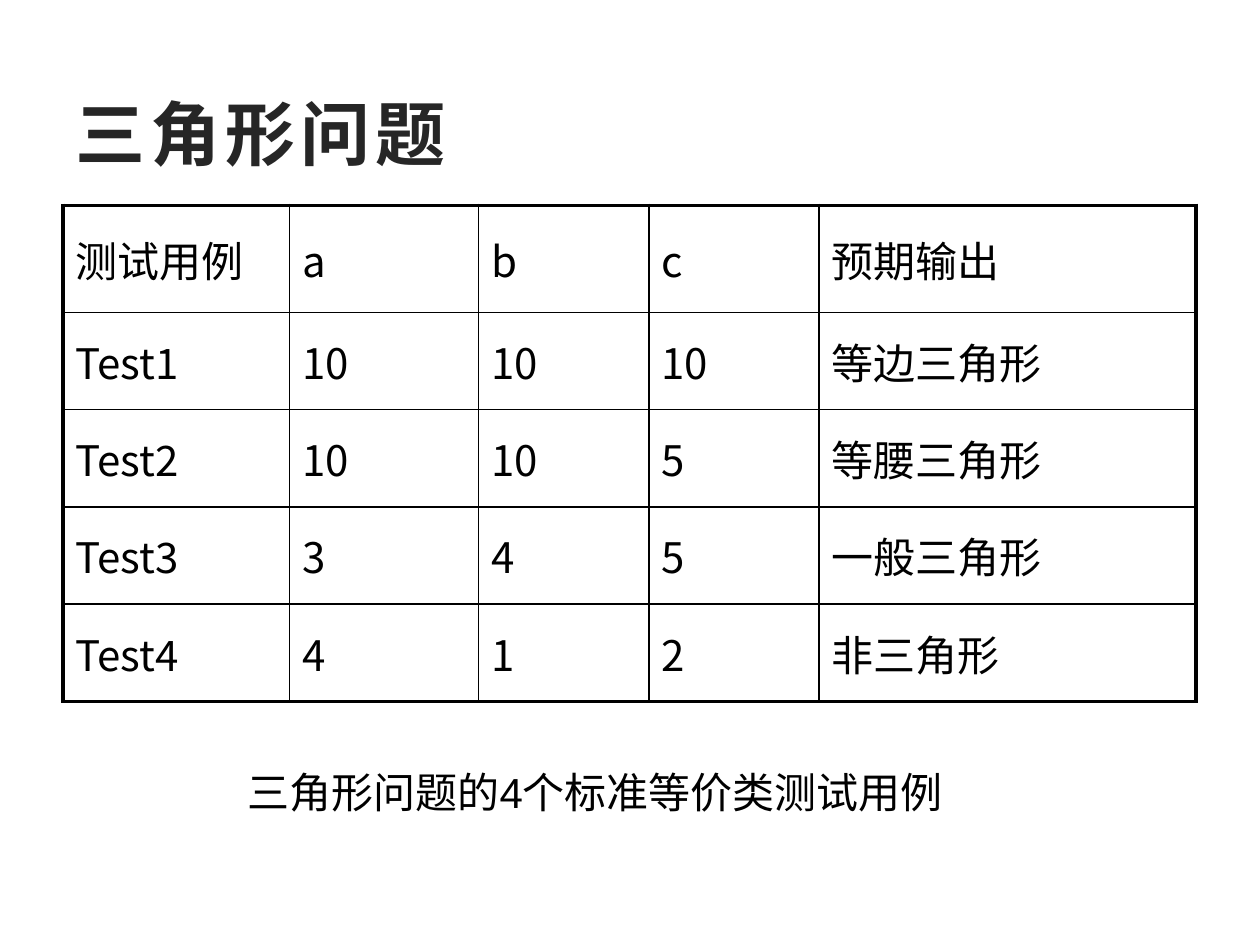
from lxml import etree
from pptx import Presentation, util as u
from pptx.dml.color import RGBColor
from pptx.enum import text
from pptx.oxml.ns import qn

Cm, Pt = u.Cm, u.Pt
theme = {
    "ink": "000000", "dark": "262626", "head": 40, "body": 24,
    "thin": 1, "thick": 2.25, "sans": "Arial", "cjk": "Noto Sans CJK KR",
}
mid = text.MSO_ANCHOR.MIDDLE


def write(para, words, face, size, tint, bold=False):
    run = para.add_run()
    run.text = words
    form = {"name": face, "size": Pt(size), "bold": bold}
    for key, val in form.items():
        setattr(run.font, key, val)
    run.font.color.rgb = RGBColor.from_string(tint)
    props = run.font._element
    etree.SubElement(props, qn("a:ea"), typeface=theme["cjk"])
    return props


def edge(cell, side, width):
    line = etree.SubElement(cell._tc.get_or_add_tcPr(), qn("a:ln" + side),
                            w=str(Pt(width)))
    fill = etree.SubElement(line, qn("a:solidFill"))
    etree.SubElement(fill, qn("a:srgbClr"), val=theme["ink"])


deck = Presentation()
deck.slide_width, deck.slide_height = Cm(25.4), Cm(19.05)
slide = deck.slides.add_slide(deck.slide_layouts[6])

# Title
box = slide.shapes.add_textbox(Cm(1.27), Cm(1.7), Cm(22.86), Cm(1.96))
frame = box.text_frame
for key, val in {"word_wrap": True, "vertical_anchor": mid}.items():
    setattr(frame, key, val)
props = write(frame.paragraphs[0], "三角形问题", theme["sans"], theme["head"],
              theme["dark"], True)
props.set("spc", "300")

# Table of test cases
rows = [
    ("测试用例", "a", "b", "c", "预期输出"),
    ("Test1", "10", "10", "10", "等边三角形"),
    ("Test2", "10", "10", "5", "等腰三角形"),
    ("Test3", "3", "4", "5", "一般三角形"),
    ("Test4", "4", "1", "2", "非三角形"),
]
wide = [4.57, 3.81, 3.43, 3.43, 7.6]
high = [2.16] + [1.96] * 4
grid = slide.shapes.add_table(len(rows), len(wide), Cm(1.27), Cm(4.14),
                              Cm(sum(wide)), Cm(sum(high))).table
for flag in ("first_row", "horz_banding"):
    setattr(grid, flag, False)
for col, size in zip(grid.columns, wide):
    col.width = Cm(size)
for row, size in zip(grid.rows, high):
    row.height = Cm(size)

# Cells, with a thick outer frame
for r, row in enumerate(rows):
    for c, words in enumerate(row):
        cell = grid.cell(r, c)
        outer = {"L": c == 0, "R": c == len(wide) - 1,
                 "T": r == 0, "B": r == len(rows) - 1}
        for side, out in outer.items():
            edge(cell, side, theme["thick" if out else "thin"])
        cell.fill.background()
        cell.vertical_anchor = mid
        write(cell.text_frame.paragraphs[0], words, theme["cjk"],
              theme["body"], theme["ink"])

# Caption
box = slide.shapes.add_textbox(Cm(3.5), Cm(15.32), Cm(17), Cm(1.27))
box.text_frame.word_wrap = True
para = box.text_frame.paragraphs[0]
para.alignment = text.PP_ALIGN.CENTER
write(para, "三角形问题的4个标准等价类测试用例", theme["sans"], theme["body"],
      theme["ink"])

deck.save("out.pptx")
